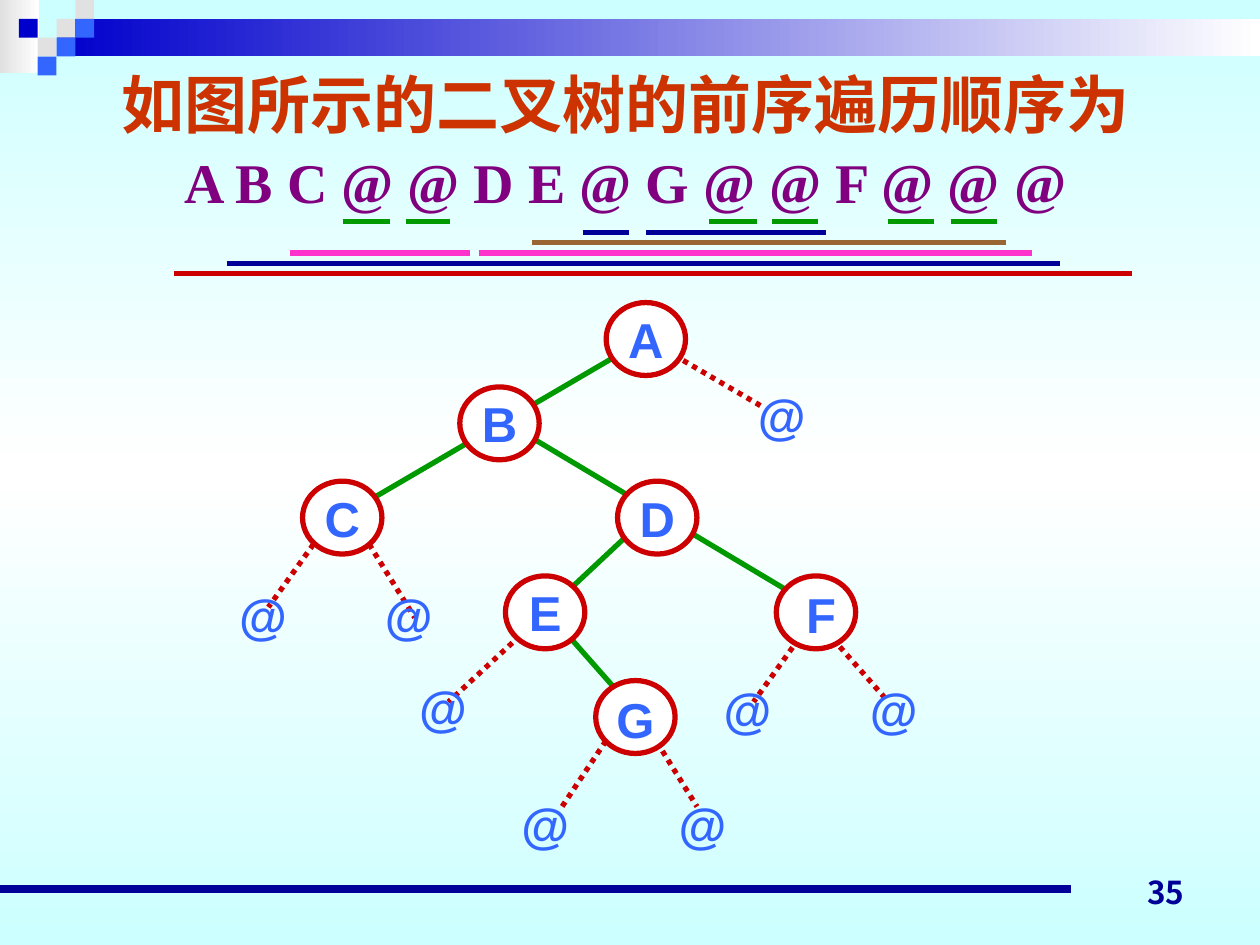
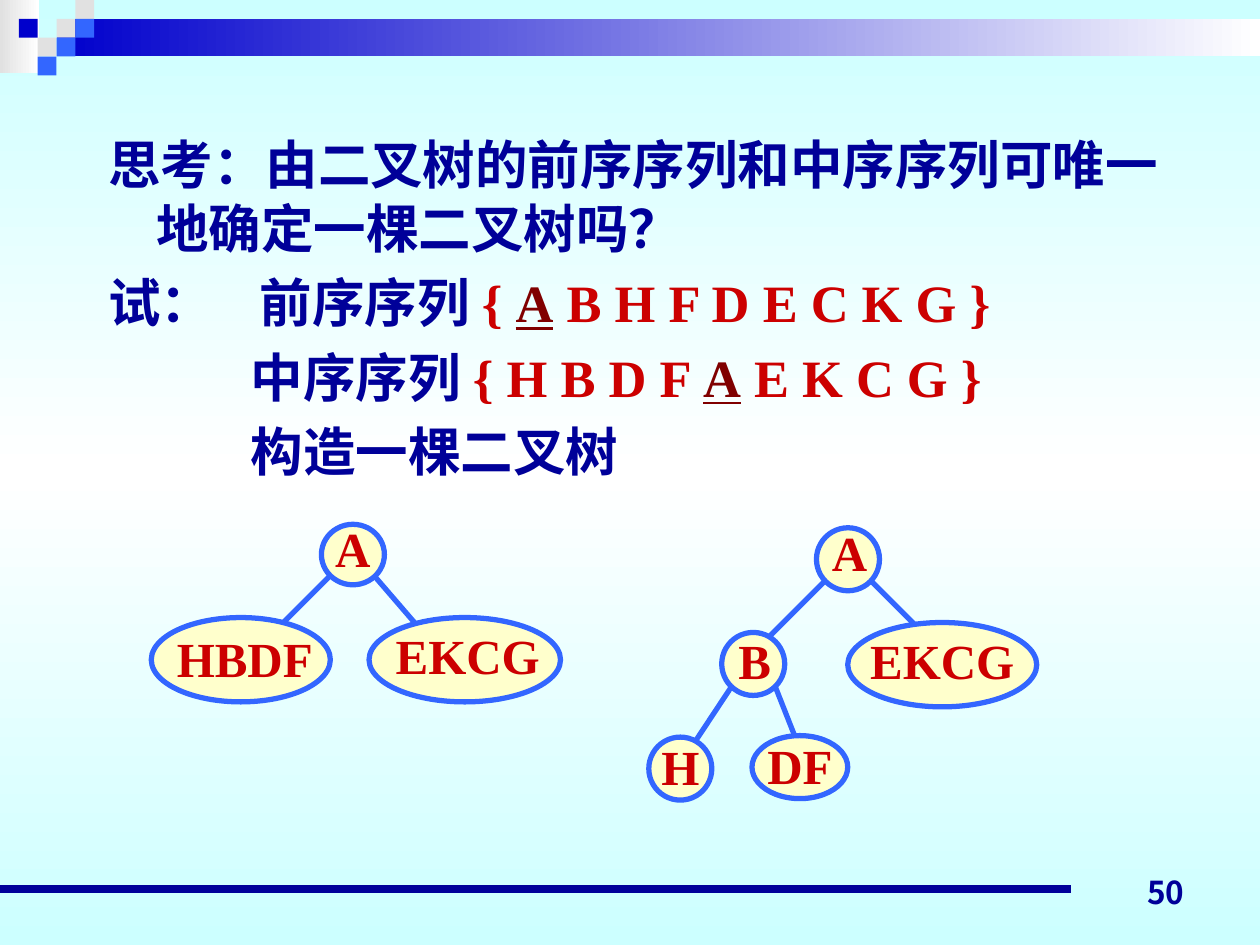
from dataclasses import dataclass
from typing import Optional

from lxml import etree
from pptx import Presentation
from pptx import util as u
from pptx.dml import color as dml
from pptx.enum import dml as dash, shapes, text
from pptx.oxml import ns

COLORS = {
    "sky": "CCFFFF", "white": "FFFFFF", "grey": "E1E1E1", "royal": "0000CC",
    "blue": "3366FF", "navy": "000099", "orange": "CC3300", "purple": "800080",
    "red": "CC0000", "green": "009900", "pink": "FF33CC", "brown": "996633",
    "maroon": "800000", "cream": "FFFFCC",
}
CJK, SERIF, SANS = "Noto Sans CJK JP", "Times New Roman", "Arial"
TILE = 0.38
LABEL_HEIGHT = 1.45


@dataclass(frozen=True)
class Span:
    words: str
    color: str
    size: float
    font: str = SERIF
    underline: bool = False


@dataclass(frozen=True)
class Para:
    spans: list[Span]
    align: text.PP_ALIGN = text.PP_ALIGN.CENTER
    line_height: Optional[float] = None
    before: float = 0
    margin: float = 0
    hanging: float = 0


@dataclass(frozen=True)
class Node:
    label: str
    left: float
    top: float
    width: float = 1.6
    height: float = 1.47
    shift_x: float = 0
    shift_y: float = 0


@dataclass(frozen=True)
class TreeStyle:
    fill: str
    outline: str
    label: str
    font: str


@dataclass(frozen=True)
class Edge:
    x1: float
    y1: float
    x2: float
    y2: float


@dataclass(frozen=True)
class UnderlineRow:
    color: str
    ranges: list[tuple[float, float]]


LETTER_STYLE = TreeStyle("white", "red", "blue", SANS)
SUBTREE_STYLE = TreeStyle("cream", "blue", "red", SERIF)

TILES = [
    (0, 1, "grey"), (1, 1, "blue"), (2, 0, "grey"), (2, 1, "blue"),
    (1, 2, "blue"), (0, 2, "grey"), (-1, 1, "royal"), (0, 3, "blue"),
]
CORNER_TILES = [(0, 2, "grey"), (1, 1, "grey"), (2, 0, "grey"), (-1, 1, "royal"),
                (2, 1, "blue"), (1, 2, "blue"), (0, 3, "blue")]

LETTER_NODES = [
    Node("A", 12.22, 6.1), Node("B", 9.27, 7.8), Node("C", 6.1, 9.7),
    Node("D", 12.45, 9.7), Node("E", 10.19, 11.61),
    Node("G", 12.01, 13.72, shift_y=0.04),
    Node("F", 15.65, 11.61, shift_x=0.1, shift_y=0.04),
]
EMPTY_NODES = [
    Node("@", left, top) for left, top in [
        (4.5, 11.66), (7.44, 11.66), (8.13, 13.51), (10.19, 15.88),
        (13.36, 15.88), (14.27, 13.56), (17.22, 13.56), (14.96, 7.62)]
]
EMPTY_EDGES = [
    Edge(10.64, 12.67, 9.04, 14.15), Edge(12.45, 14.58, 11.33, 16.26),
    Edge(13.13, 14.78, 14.05, 16.26), Edge(6.32, 10.97, 5.41, 12.24),
    Edge(7.44, 10.97, 8.36, 12.45), Edge(16.79, 12.88, 17.91, 14.15),
    Edge(13.59, 7.16, 15.42, 8.23), Edge(16.1, 12.88, 15.19, 14.15),
]
LETTER_EDGES = [
    Edge(11.33, 12.67, 12.45, 13.94), Edge(12.67, 10.77, 11.1, 12.24),
    Edge(10.41, 8.64, 16.1, 12.04), Edge(12.45, 7.16, 7.01, 10.34),
]
UNDERLINE_ROWS = [
    UnderlineRow("green", [(6.91, 7.87), (8.18, 9.07), (14.3, 15.27),
                           (15.57, 16.48), (17.91, 18.82), (19.18, 20.09)]),
    UnderlineRow("navy", [(11.76, 12.67), (13.03, 16.66)]),
    UnderlineRow("brown", [(10.72, 16.84), (16.64, 20.27)]),
    UnderlineRow("pink", [(5.84, 9.47), (9.65, 20.8)]),
    UnderlineRow("navy", [(4.57, 21.16), (20.45, 21.36)]),
    UnderlineRow("red", [(3.51, 22.83)]),
]
SUBTREE_NODES = [
    Node("A", 6.48, 10.57, 1.27, 1.22, 0, -0.14),
    Node("HBDF", 3.05, 12.45, 3.61, 1.7, 0.08, -0.03),
    Node("EKCG", 7.44, 12.45, 3.86, 1.7, 0.06, -0.1),
    Node("A", 16.46, 10.64, 1.27, 1.27, 0.03, -0.14),
    Node("EKCG", 17.09, 12.55, 3.81, 1.7, 0, -0.1),
    Node("B", 14.55, 12.75, 1.27, 1.27, 0.03, -0.09),
    Node("H", 13.08, 14.86, 1.27, 1.27, 0, -0.06),
    Node("DF", 15.16, 14.83, 1.93, 1.27, 0, -0.04),
]
SUBTREE_EDGES = [
    Edge(7.52, 11.58, 8.64, 12.88), Edge(6.68, 11.58, 5.41, 12.85),
    Edge(15.62, 13.82, 16.03, 14.86), Edge(14.76, 13.82, 13.92, 15.09),
    Edge(16.66, 11.68, 15.39, 12.95), Edge(17.53, 11.68, 18.8, 12.95),
]


def rgb(name: str) -> dml.RGBColor:
    return dml.RGBColor.from_string(COLORS[name])


def paint_gradient(fill, element, names: list[str], angle: float) -> None:
    fill.gradient()
    fill.gradient_angle = angle
    stops = next(element.iter(ns.qn("a:gsLst")))
    for stop in list(stops):
        stops.remove(stop)
    for index, name in enumerate(names):
        position = str(100000 * index // (len(names) - 1))
        stop = etree.SubElement(stops, ns.qn("a:gs"), pos=position)
        etree.SubElement(stop, ns.qn("a:srgbClr"), val=COLORS[name])


def add_figure(page, kind, left: float, top: float, width: float, height: float):
    figure = page.shapes.add_shape(kind, u.Cm(left), u.Cm(top), u.Cm(width), u.Cm(height))
    figure.shadow.inherit = False
    figure.line.fill.background()
    return figure


def add_line(page, edge: Edge, color: str, weight: float = 3, dotted: bool = False) -> None:
    line = page.shapes.add_connector(
        shapes.MSO_CONNECTOR.STRAIGHT,
        u.Cm(edge.x1), u.Cm(edge.y1), u.Cm(edge.x2), u.Cm(edge.y2))
    line.line.color.rgb = rgb(color)
    line.line.width = u.Pt(weight)
    if dotted:
        line.line.dash_style = dash.MSO_LINE.ROUND_DOT
    etree.SubElement(line.element.spPr, ns.qn("a:effectLst"))


def add_text(page, left: float, top: float, width: float, height: float,
             paras: list[Para], anchor=text.MSO_ANCHOR.MIDDLE, wrap: bool = True) -> None:
    box = page.shapes.add_textbox(u.Cm(left), u.Cm(top), u.Cm(width), u.Cm(height))
    frame = box.text_frame
    frame.word_wrap = wrap
    frame.vertical_anchor = anchor
    for index, item in enumerate(paras):
        para = frame.add_paragraph() if index else frame.paragraphs[0]
        para.alignment = item.align
        para.space_before = u.Pt(item.before)
        if item.line_height:
            para.line_spacing = u.Pt(item.line_height)
        properties = para._p.get_or_add_pPr()
        properties.set("marL", str(u.Cm(item.margin)))
        properties.set("indent", str(-u.Cm(item.hanging)))
        for piece in item.spans:
            span = para.add_run()
            span.text = piece.words
            span.font.name = piece.font
            span.font.size = u.Pt(piece.size)
            span.font.bold = True
            span.font.underline = piece.underline
            span.font.color.rgb = rgb(piece.color)
            etree.SubElement(span._r.get_or_add_rPr(), ns.qn("a:ea"), typeface=CJK)


def add_label(page, node: Node, style: TreeStyle) -> None:
    top = node.top + (node.height - LABEL_HEIGHT) / 2 + node.shift_y
    label = Span(node.label, style.label, 28, style.font)
    add_text(page, node.left + node.shift_x, top, node.width, LABEL_HEIGHT,
             [Para([label])], wrap=False)


def add_nodes(page, nodes: list[Node], style: TreeStyle) -> None:
    for node in nodes:
        oval = add_figure(page, shapes.MSO_SHAPE.OVAL,
                          node.left, node.top, node.width, node.height)
        oval.fill.solid()
        oval.fill.fore_color.rgb = rgb(style.fill)
        oval.line.color.rgb = rgb(style.outline)
        oval.line.width = u.Pt(3)
    for node in nodes:
        add_label(page, node, style)


def add_page(deck, number: int):
    page = deck.slides.add_slide(deck.slide_layouts[6])
    paint_gradient(page.background.fill, page.element, ["sky", "white", "sky"], 90)
    rectangle = shapes.MSO_SHAPE.RECTANGLE
    corner = add_figure(page, rectangle, 0, 0, 0.79, 1.47)
    paint_gradient(corner.fill, corner.element, ["grey", "white"], 0)
    band = add_figure(page, rectangle, 1.14, 0.38, 24.26, 0.76)
    paint_gradient(band.fill, band.element, ["royal", "white"], 0)
    for column, row, color in CORNER_TILES:
        tile = add_figure(page, rectangle, 0.76 + column * TILE, row * TILE, TILE, TILE)
        tile.fill.solid()
        tile.fill.fore_color.rgb = rgb(color)
    add_line(page, Edge(0, 17.93, 21.59, 17.93), "navy", 4.5)
    add_text(page, 18.21, 17.22, 5.92, 1.27,
             [Para([Span(str(number), "navy", 18, CJK)], text.PP_ALIGN.RIGHT)],
             text.MSO_ANCHOR.BOTTOM)
    return page


def build_preorder_page(deck) -> None:
    page = add_page(deck, 35)
    add_text(page, 1.8, 0.99, 21.62, 3.43, [
        Para([Span("如图所示的二叉树的前序遍历顺序为", "orange", 36)], line_height=50),
        Para([Span("A B C @ @ D E @ G @ @ F @ @ @", "purple", 32)], line_height=42),
    ])
    for edge in EMPTY_EDGES:
        add_line(page, edge, "red", dotted=True)
    for edge in LETTER_EDGES:
        add_line(page, edge, "green")
    add_nodes(page, LETTER_NODES, LETTER_STYLE)
    for node in EMPTY_NODES:
        add_label(page, node, LETTER_STYLE)
    for index, row in enumerate(UNDERLINE_ROWS):
        height = 4.47 + index * 0.21
        for start, end in row.ranges:
            add_line(page, Edge(start, height, end, height), row.color)


def body_span(words: str, color: str = "navy", underline: bool = False) -> Span:
    return Span(words, color, 30, underline=underline)


def body_para(spans: list[Span], margin: float, hanging: float = 0, before: float = 6) -> Para:
    return Para(spans, text.PP_ALIGN.LEFT, 36.6, before, margin, hanging)


def build_question_page(deck) -> None:
    page = add_page(deck, 50)
    root = body_span("A", "maroon", True)
    add_text(page, 1.93, 2.51, 21.87, 7.32, [
        body_para([body_span("思考：由二叉树的前序序列和中序序列可唯一地确定一棵二叉树吗？")],
                  0.97, 0.97, 0),
        body_para([body_span("试：\t前序序列 "), body_span("{ ", "red"), root,
                   body_span(" B H F D E C K G }", "red")], 3.06, 3.06),
        body_para([body_span("中序序列 "), body_span("{ H B D F ", "red"), root,
                   body_span(" E K C G }", "red")], 2.88),
        body_para([body_span("构造一棵二叉树")], 2.88),
    ], text.MSO_ANCHOR.TOP)
    for edge in SUBTREE_EDGES:
        add_line(page, edge, "blue")
    add_nodes(page, SUBTREE_NODES, SUBTREE_STYLE)


def main() -> None:
    deck = Presentation()
    deck.slide_width, deck.slide_height = u.Cm(25.4), u.Cm(19.05)
    build_preorder_page(deck)
    build_question_page(deck)
    deck.save("out.pptx")


if __name__ == "__main__":
    main()
